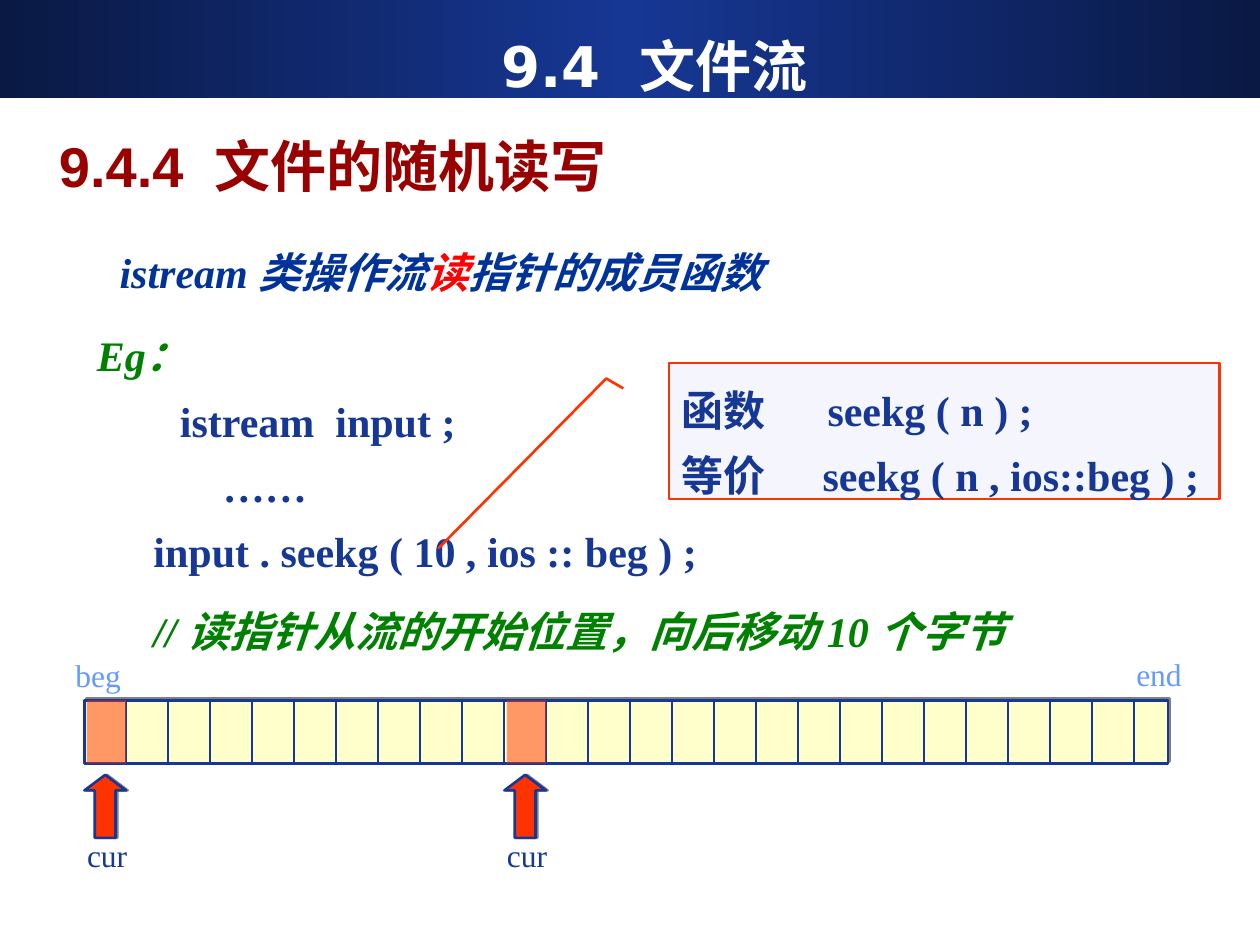
import copy

import lxml.etree
import pptx
import pptx.dml.color
import pptx.enum.shapes
import pptx.enum.text
import pptx.oxml
import pptx.oxml.ns
import pptx.util

Inches = pptx.util.Inches
Pt = pptx.util.Pt
RGBColor = pptx.dml.color.RGBColor
SHAPE = pptx.enum.shapes.MSO_SHAPE
ALIGN = pptx.enum.text.PP_ALIGN
ANCHOR = pptx.enum.text.MSO_ANCHOR
AUTO = pptx.enum.text.MSO_AUTO_SIZE
qn = pptx.oxml.ns.qn

NAVY = RGBColor(0x16, 0x37, 0x94)
DARK = RGBColor(0x0A, 0x19, 0x44)
BLUE = RGBColor(0x00, 0x33, 0x99)
SKY = RGBColor(0x66, 0x99, 0xFF)
GREEN = RGBColor(0x00, 0x80, 0x00)
RED = RGBColor(0xFF, 0x00, 0x00)
ORANGE = RGBColor(0xFF, 0x33, 0x00)
MAROON = RGBColor(0x99, 0x00, 0x00)
CREAM = RGBColor(0xFF, 0xFF, 0xCC)
PALE = RGBColor(0xF5, 0xF6, 0xFD)
WHITE = RGBColor(0xFF, 0xFF, 0xFF)
SERIF = "Times New Roman"

prs = pptx.Presentation()
prs.slide_width = Inches(10)
prs.slide_height = Inches(7.5)
s = prs.slides.add_slide(prs.slide_layouts[6])


def add_shape(kind, x, y, w, h, fill, line=None, shadow=None):
    sp = s.shapes.add_shape(kind, Inches(x), Inches(y), Inches(w), Inches(h))
    sp.shadow.inherit = False
    sp.fill.solid()
    sp.fill.fore_color.rgb = fill
    if line is None:
        sp.line.fill.background()
    else:
        sp.line.color.rgb = line
        sp.line.width = Pt(1.5)
    if shadow:
        dist, angle = shadow
        effects = sp._element.spPr.find(qn("a:effectLst"))
        outer = lxml.etree.SubElement(effects, qn("a:outerShdw"), dist=str(Pt(dist)),
                                      dir=str(angle * 60000), algn="ctr", rotWithShape="0")
        lxml.etree.SubElement(outer, qn("a:srgbClr"), val="808080")
    return sp


def write(sp, paragraphs, size=24, font=SERIF, bold=True, align=ALIGN.LEFT,
          spacing=None, anchor=ANCHOR.TOP, wrap=False, grow=True):
    tf = sp.text_frame
    tf.word_wrap = wrap
    tf.auto_size = AUTO.SHAPE_TO_FIT_TEXT if grow else AUTO.NONE
    tf.vertical_anchor = anchor
    for i, runs in enumerate(paragraphs):
        p = tf.paragraphs[0] if i == 0 else tf.add_paragraph()
        p.alignment = align
        if spacing:
            p.line_spacing = spacing
        for text, color, italic in runs:
            r = p.add_run()
            r.text = text
            r.font.size = Pt(size)
            r.font.name = font
            r.font.bold = bold
            r.font.italic = italic
            r.font.color.rgb = color
    return tf


bar = add_shape(SHAPE.RECTANGLE, 0, 0, 10, 0.78, NAVY)
bar.fill.gradient()
bar.fill.gradient_angle = 0
stops = bar._element.spPr.find(".//" + qn("a:gsLst"))
middle = copy.deepcopy(stops[0])
middle.set("pos", "50000")
stops.insert(1, middle)
for stop, color in zip(bar.fill.gradient_stops, (DARK, NAVY, DARK)):
    stop.color.rgb = color

sp = s.shapes.add_textbox(Inches(0.67), Inches(2.45), Inches(3.06), Inches(1.66))
tf = write(sp, [[("Eg：", GREEN, True)],
                [("istream  input ;", NAVY, False)],
                [("……", NAVY, False)]], spacing=1.3)
for p, indent in zip(tf.paragraphs[1:], (0.66, 1)):
    p._p.get_or_add_pPr().set("marL", str(Inches(indent)))

left, top, height, cell = 0.67, 5.56, 0.5, 1 / 3
add_shape(SHAPE.RECTANGLE, left, top, 8.6, height, CREAM, NAVY, (1.4, 315))
for i in range(25):
    x = Inches(1 + i * cell)
    line = s.shapes.add_connector(pptx.enum.shapes.MSO_CONNECTOR.STRAIGHT,
                                  x, Inches(top), x, Inches(top + height))
    line.line.color.rgb = NAVY
    line.line.width = Pt(1.5)
    lxml.etree.SubElement(line._element.spPr, qn("a:effectLst"))

for label, x, y in (("beg", 0.5, 5.16), ("end", 8.92, 5.15)):
    sp = s.shapes.add_textbox(Inches(x), Inches(y), Inches(0.67), Inches(0.4))
    write(sp, [[(label, SKY, False)]], size=18, bold=False, wrap=True)

for index in (0, 10):
    x = left + index * cell
    arrow = add_shape(SHAPE.UP_ARROW, x, 6.15, 0.33, 0.5, ORANGE, NAVY, (1, 0))
    arrow.adjustments[0] = 0.5
    arrow.adjustments[1] = 0.375
    mark = add_shape(SHAPE.RECTANGLE, x + 0.02, top, 0.31, height, ORANGE)
    color = mark._element.spPr.find(qn("a:solidFill"))[0]
    lxml.etree.SubElement(color, qn("a:alpha"), val="50000")
    sp = s.shapes.add_textbox(Inches(x - 0.08), Inches(6.64), Inches(0.52), Inches(0.34))
    write(sp, [[("cur", NAVY, False)]], size=18, bold=False, align=ALIGN.CENTER, spacing=0.8)

sp = s.shapes.add_textbox(Inches(1.12), Inches(3.88), Inches(7.2), Inches(1.38))
write(sp, [[("input . seekg ( 10 , ios :: beg ) ;", NAVY, False)],
           [("// 读指针从流的开始位置，向后移动 10 个字节", GREEN, True)]], spacing=1.6)

callout = add_shape(SHAPE.LINE_CALLOUT_2, 5.31, 2.88, 4.37, 1.08, PALE, ORANGE)
for i, value in enumerate((0.188, -0.083, 0.115, -0.114, 1.364, -0.419)):
    callout.adjustments[i] = value
tf = write(callout, [[("函数\tseekg ( n ) ;", NAVY, False)],
                     [("等价\tseekg ( n , ios::beg ) ;", NAVY, False)]],
           spacing=1.3, wrap=True, grow=False)
for p, stop in zip(tf.paragraphs, (1.16, 1.12)):
    tabs = pptx.oxml.parse_xml(
        '<a:tabLst xmlns:a="http://schemas.openxmlformats.org/drawingml/2006/main">'
        f'<a:tab pos="{Inches(stop)}" algn="l"/></a:tabLst>')
    p._p.get_or_add_pPr().append(tabs)

sp = s.shapes.add_textbox(Inches(0.81), Inches(1.55), Inches(5.38), Inches(0.86))
write(sp, [[("istream 类操作流", BLUE, True), ("读", RED, True), ("指针的成员函数", BLUE, True)]],
      align=ALIGN.CENTER, spacing=1.9)

sp = s.shapes.add_textbox(Inches(0.57), Inches(0.21), Inches(9.25), Inches(0.62))
write(sp, [[("9.4  文件流", WHITE, False)]], size=32, font="DejaVu Sans",
      align=ALIGN.CENTER, anchor=ANCHOR.MIDDLE, wrap=True, grow=False)

sp = s.shapes.add_textbox(Inches(0.37), Inches(0.99), Inches(4.66), Inches(0.64))
write(sp, [[("9.4.4  文件的随机读写", MAROON, False)]], size=32, font="Arial",
      anchor=ANCHOR.MIDDLE)

prs.save("out.pptx")
